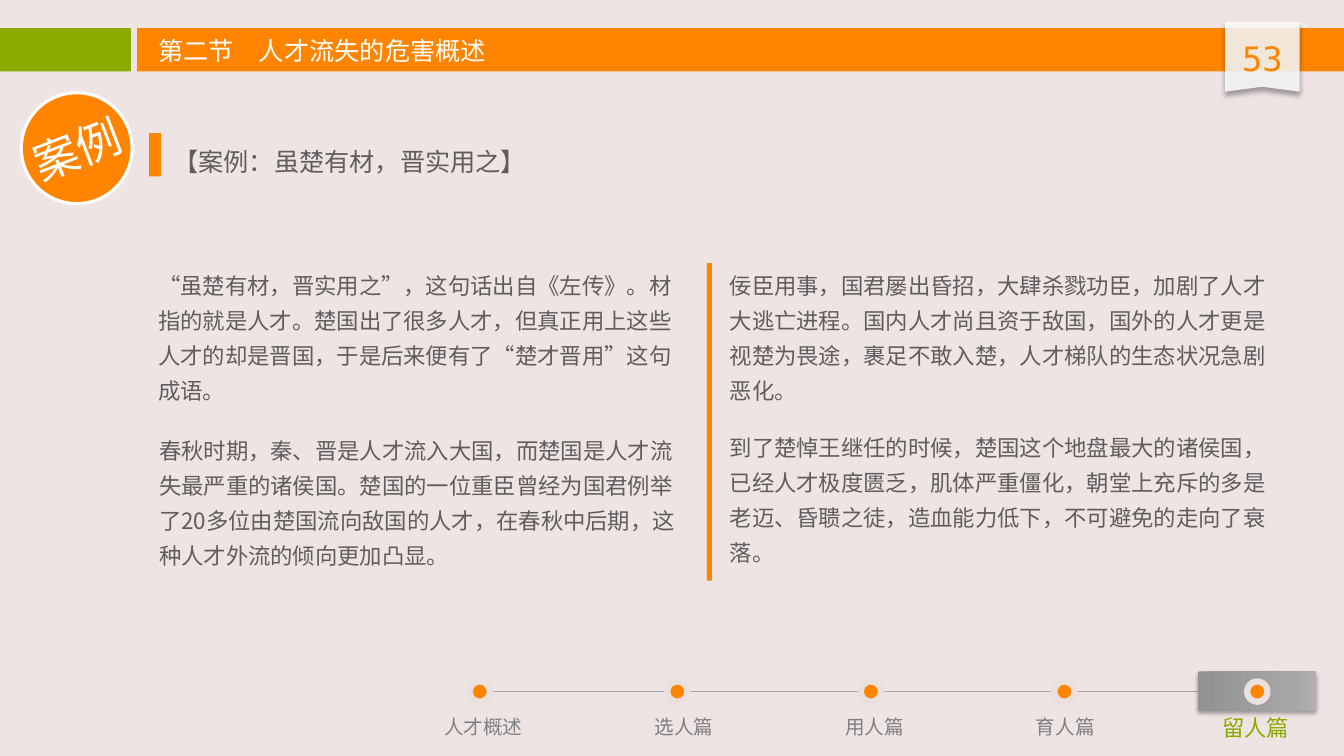
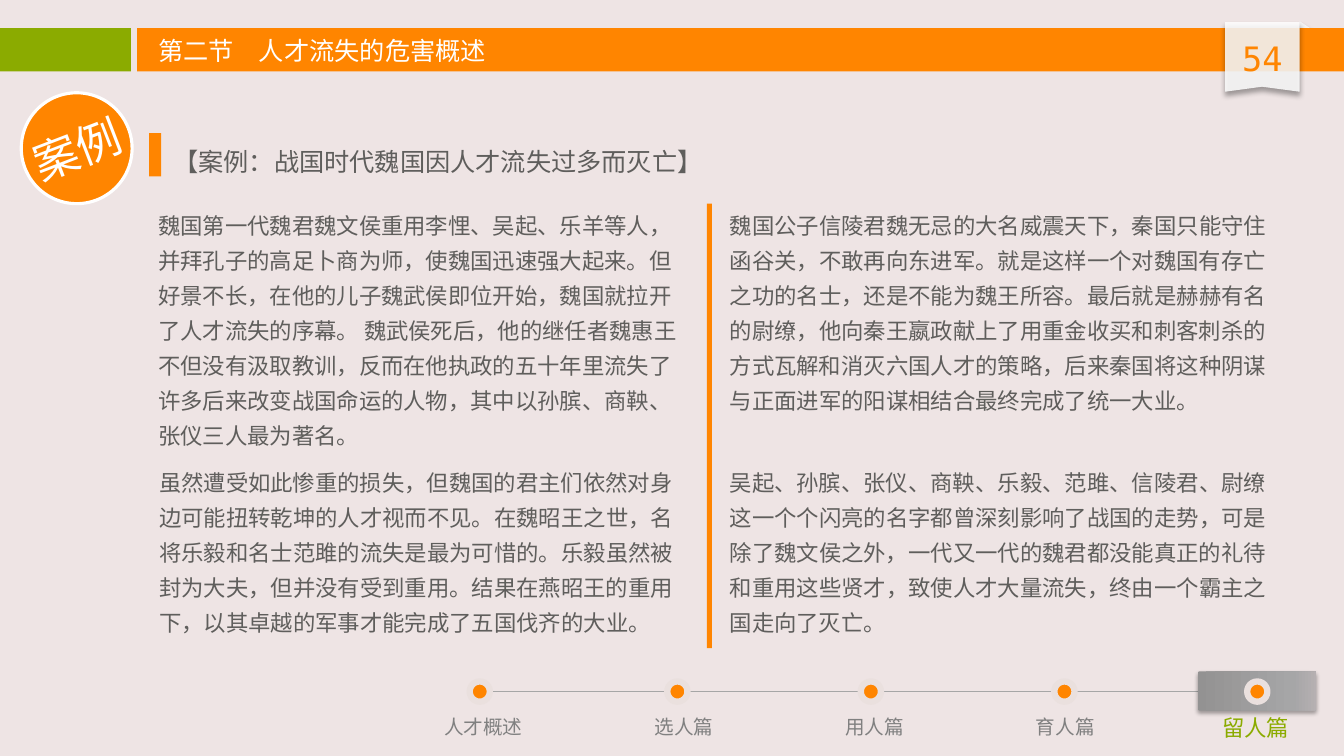
from dataclasses import dataclass

from lxml import etree
from pptx import Presentation
from pptx.dml.color import RGBColor
from pptx.enum.shapes import MSO_CONNECTOR, MSO_SHAPE
from pptx.enum.text import MSO_ANCHOR, MSO_AUTO_SIZE, PP_ALIGN
from pptx.oxml.ns import qn
from pptx.util import Emu, Inches, Pt

LEFT, CENTER = PP_ALIGN.LEFT, PP_ALIGN.CENTER
TOP, MIDDLE = MSO_ANCHOR.TOP, MSO_ANCHOR.MIDDLE
GROW = MSO_AUTO_SIZE.SHAPE_TO_FIT_TEXT
RECTANGLE, ROUNDED = MSO_SHAPE.RECTANGLE, MSO_SHAPE.ROUNDED_RECTANGLE
OVAL, TRIANGLE = MSO_SHAPE.OVAL, MSO_SHAPE.RIGHT_TRIANGLE
STRAIGHT = MSO_CONNECTOR.STRAIGHT

SLIDE_WIDTH, SLIDE_HEIGHT = Inches(13.33), Inches(7.5)


@dataclass(frozen=True)
class Theme:
    background: str = "EEE4E4"
    orange: str = "FF8500"
    green: str = "8BAB00"
    white: str = "FFFFFF"
    fold: str = "F8F8F8"
    body: str = "5F5E5C"
    label: str = "808080"
    track: str = "A6A6A6"
    ring: str = "EAE0DE"
    plate: tuple = ((0, "939292"), (80, "A6A6A7"), (100, "B6B0B2"))
    text_font: str = "Noto Sans CJK SC"
    number_font: str = "DejaVu Sans Mono"
    label_size: float = 14
    body_size: float = 16
    title_size: float = 18
    number_size: float = 24
    badge_size: float = 32
    body_spacing: float = 1.3


THEME = Theme()


@dataclass(frozen=True)
class Box:
    """Left and width in percent of slide width, top and height of slide height."""
    left: float
    top: float
    width: float
    height: float

    def emu(self) -> tuple:
        return (across(self.left), down(self.top),
                across(self.width), down(self.height))


@dataclass(frozen=True)
class Style:
    size: float
    color: str
    font: str = THEME.text_font
    align: PP_ALIGN = LEFT
    spacing: float = 1.0


@dataclass(frozen=True)
class Stage:
    name: str
    dot_center: float
    label_center: float
    current: bool = False


@dataclass(frozen=True)
class Shadow:
    opacity: float
    blur: float
    distance: float


@dataclass(frozen=True)
class Passage:
    box: Box
    text: str


@dataclass(frozen=True)
class Case:
    number: int
    heading: str
    divider: Box
    passages: tuple


TITLE = Style(THEME.title_size, THEME.white)
HEADING = Style(THEME.title_size, THEME.body, spacing=THEME.body_spacing)
BODY = Style(THEME.body_size, THEME.body, spacing=THEME.body_spacing)
NUMBER = Style(THEME.number_size, THEME.orange, THEME.number_font, CENTER)
BADGE = Style(THEME.badge_size, THEME.white, align=CENTER)
STAGE_LABEL = Style(THEME.label_size, THEME.label, align=CENTER)
CURRENT_LABEL = Style(THEME.body_size, THEME.green, align=CENTER)

RIBBON_SHADOW = Shadow(40, 4, 3)
PLATE_SHADOW = Shadow(35, 3.1, 1.8)

STAGES = (
    Stage("人才概述", 35.7, 35.97),
    Stage("选人篇", 50.4, 50.9),
    Stage("用人篇", 64.8, 65.08),
    Stage("育人篇", 79.2, 79.26),
    Stage("留人篇", 93.55, 93.44, True),
)
TRACK_TOP = 91.47

# Text columns: left edge and width
LEFT_UPPER, LEFT_LOWER, RIGHT = (11.03, 41.33), (11.1, 41.26), (53.56, 42.53)
DIVIDER_LEFT, DIVIDER_WIDTH = 52.59, 0.38


def passage(column: tuple, top: float, height: float, text: str) -> Passage:
    return Passage(Box(column[0], top, column[1], height), text)


CASES = (
    Case(53, "【案例：虽楚有材，晋实用之】",
         Box(DIVIDER_LEFT, 34.8, DIVIDER_WIDTH, 42), (
             passage(LEFT_UPPER, 34.27, 20, "“虽楚有材，晋实用之”，这句话出自《左传》。材指的就是人才。楚国出了很多人才，但真正用上这些人才的却是晋国，于是后来便有了“楚才晋用”这句成语。"),
             passage(LEFT_LOWER, 56.13, 20, "春秋时期，秦、晋是人才流入大国，而楚国是人才流失最严重的诸侯国。楚国的一位重臣曾经为国君例举了20多位由楚国流向敌国的人才，在春秋中后期，这种人才外流的倾向更加凸显。"),
             passage(RIGHT, 34.27, 20, "佞臣用事，国君屡出昏招，大肆杀戮功臣，加剧了人才大逃亡进程。国内人才尚且资于敌国，国外的人才更是视楚为畏途，裹足不敢入楚，人才梯队的生态状况急剧恶化。"),
             passage(RIGHT, 55.73, 20, "到了楚悼王继任的时候，楚国这个地盘最大的诸侯国，已经人才极度匮乏，肌体严重僵化，朝堂上充斥的多是老迈、昏聩之徒，造血能力低下，不可避免的走向了衰落。"),
         )),
    Case(54, "【案例：战国时代魏国因人才流失过多而灭亡】",
         Box(DIVIDER_LEFT, 26.93, DIVIDER_WIDTH, 58.8), (
             passage(LEFT_UPPER, 26.4, 34, "魏国第一代魏君魏文侯重用李悝、吴起、乐羊等人，并拜孔子的高足卜商为师，使魏国迅速强大起来。但好景不长，在他的儿子魏武侯即位开始，魏国就拉开了人才流失的序幕。 魏武侯死后，他的继任者魏惠王不但没有汲取教训，反而在他执政的五十年里流失了许多后来改变战国命运的人物，其中以孙膑、商鞅、张仪三人最为著名。"),
             passage(LEFT_LOWER, 60.4, 24.67, "虽然遭受如此惨重的损失，但魏国的君主们依然对身边可能扭转乾坤的人才视而不见。在魏昭王之世，名将乐毅和名士范雎的流失是最为可惜的。乐毅虽然被封为大夫，但并没有受到重用。结果在燕昭王的重用下，以其卓越的军事才能完成了五国伐齐的大业。"),
             passage(RIGHT, 26.4, 29.33, "魏国公子信陵君魏无忌的大名威震天下，秦国只能守住函谷关，不敢再向东进军。就是这样一个对魏国有存亡之功的名士，还是不能为魏王所容。最后就是赫赫有名的尉缭，他向秦王嬴政献上了用重金收买和刺客刺杀的方式瓦解和消灭六国人才的策略，后来秦国将这种阴谋与正面进军的阳谋相结合最终完成了统一大业。"),
             passage(RIGHT, 60.4, 24.67, "吴起、孙膑、张仪、商鞅、乐毅、范雎、信陵君、尉缭这一个个闪亮的名字都曾深刻影响了战国的走势，可是除了魏文侯之外，一代又一代的魏君都没能真正的礼待和重用这些贤才，致使人才大量流失，终由一个霸主之国走向了灭亡。"),
         )),
)


def across(percent: float) -> Emu:
    return Emu(round(SLIDE_WIDTH * percent / 100))


def down(percent: float) -> Emu:
    return Emu(round(SLIDE_HEIGHT * percent / 100))


def rgb(color: str) -> RGBColor:
    return RGBColor.from_string(color)


# Shape and text helpers
def paint(shape, color: str, outline: str = "", outline_width: float = 0) -> None:
    shape.shadow.inherit = False
    shape.fill.solid()
    shape.fill.fore_color.rgb = rgb(color)
    if outline:
        shape.line.color.rgb = rgb(outline)
        shape.line.width = Pt(outline_width)
    else:
        shape.line.fill.background()


def add_block(page, kind, box: Box, color: str, outline: str = "",
              outline_width: float = 0):
    shape = page.shapes.add_shape(kind, *box.emu())
    paint(shape, color, outline, outline_width)
    return shape


def set_opacity(shape, percent: float) -> None:
    color = shape.element.spPr.find(qn("a:solidFill")).find(qn("a:srgbClr"))
    etree.SubElement(color, qn("a:alpha"), val=str(percent * 1000))


def cast_shadow(shape, shadow: Shadow) -> None:
    effects = shape.element.spPr.find(qn("a:effectLst"))
    outer = etree.SubElement(
        effects, qn("a:outerShdw"), blurRad=str(Pt(shadow.blur)),
        dist=str(Pt(shadow.distance)), dir="5400000", algn="t", rotWithShape="0")
    color = etree.SubElement(outer, qn("a:srgbClr"), val="000000")
    etree.SubElement(color, qn("a:alpha"), val=str(shadow.opacity * 1000))


def set_gradient(shape, stops: tuple) -> None:
    shape.fill.gradient()
    shape.fill.gradient_angle = 0
    stop_list = shape.element.spPr.find(qn("a:gradFill")).find(qn("a:gsLst"))
    stop_list.clear()
    for position, color in stops:
        stop = etree.SubElement(stop_list, qn("a:gs"), pos=str(position * 1000))
        etree.SubElement(stop, qn("a:srgbClr"), val=color)


def write(frame, text: str, style: Style) -> None:
    para = frame.paragraphs[0]
    para.alignment = style.align
    para.line_spacing = style.spacing
    span = para.add_run()
    span.text = text
    span.font.size = Pt(style.size)
    span.font.color.rgb = rgb(style.color)
    span.font.name = style.font
    properties = span.font.language_id = None
    properties = span.element.get_or_add_rPr() if hasattr(span, "element") else span._r.get_or_add_rPr()
    properties.set("lang", "zh-CN")
    etree.SubElement(properties, qn("a:ea"), typeface=style.font)


def add_text(page, box: Box, text: str, style: Style) -> None:
    frame = page.shapes.add_textbox(*box.emu()).text_frame
    frame.word_wrap = True
    frame.auto_size = GROW
    frame.vertical_anchor = TOP
    write(frame, text, style)


# Parts of the page
def draw_header(page, number: int) -> None:
    fold = add_block(page, TRIANGLE, Box(96.7, 2.8, 0.9, 1.07), THEME.fold)
    set_opacity(fold, 85)
    cast_shadow(fold, RIBBON_SHADOW)
    add_block(page, RECTANGLE, Box(0, 3.73, 9.75, 5.73), THEME.green)
    add_block(page, RECTANGLE, Box(10.2, 3.73, 89.8, 5.73), THEME.orange)

    # Ribbon with a notched lower edge
    outline = ((91.15, 2.93), (96.7, 2.93), (96.7, 12.13),
               (93.9, 11.47), (91.15, 12.13))
    start, *corners = [(across(x), down(y)) for x, y in outline]
    builder = page.shapes.build_freeform(*start)
    builder.add_line_segments(corners, close=True)
    ribbon = builder.convert_to_shape()
    paint(ribbon, THEME.white)
    set_opacity(ribbon, 85)
    cast_shadow(ribbon, RIBBON_SHADOW)
    add_text(page, Box(91.15, 4.4, 5.55, 6.67), str(number), NUMBER)
    add_text(page, Box(11.03, 4, 37.8, 5.33), "第二节　人才流失的危害概述", TITLE)


def draw_progress(page) -> None:
    track = page.shapes.add_connector(
        STRAIGHT, across(36.16), down(TRACK_TOP), across(93.4), down(TRACK_TOP))
    track.line.color.rgb = rgb(THEME.track)
    track.line.width = Pt(1)
    etree.SubElement(track.element.spPr, qn("a:effectLst"))
    for stage in STAGES:
        if stage.current:
            plate = add_block(page, ROUNDED, Box(89.12, 88.8, 8.85, 5.2), THEME.track)
            plate.adjustments[0] = 0.05
            set_gradient(plate, THEME.plate)
            cast_shadow(plate, PLATE_SHADOW)
        dot = Box(stage.dot_center - 0.75, TRACK_TOP - 1.33, 1.5, 2.67)
        add_block(page, OVAL, dot, THEME.orange, THEME.ring, 4.5)
        add_text(page, Box(stage.label_center - 4, 93.87, 8, 4.53), stage.name,
                 CURRENT_LABEL if stage.current else STAGE_LABEL)


def draw_badge(page) -> None:
    badge = add_block(page, OVAL, Box(1.58, 12.27, 8.25, 14.67),
                      THEME.orange, THEME.white, 2.25)
    badge.rotation = 338.9
    frame = badge.text_frame
    frame.word_wrap = False
    frame.vertical_anchor = MIDDLE
    frame.margin_left = frame.margin_right = 0
    frame.margin_top = frame.margin_bottom = 0
    write(frame, "案例", BADGE)


def draw_case(page, case: Case) -> None:
    add_block(page, RECTANGLE, Box(11.1, 17.6, 0.9, 5.73), THEME.orange)
    add_text(page, Box(12.15, 17.47, 50, 6.53), case.heading, HEADING)
    for item in case.passages:
        add_text(page, item.box, item.text, BODY)
    add_block(page, RECTANGLE, case.divider, THEME.orange)


def main() -> None:
    deck = Presentation()
    deck.slide_width, deck.slide_height = SLIDE_WIDTH, SLIDE_HEIGHT
    blank = deck.slide_layouts[6]
    for case in CASES:
        page = deck.slides.add_slide(blank)
        page.background.fill.solid()
        page.background.fill.fore_color.rgb = rgb(THEME.background)
        draw_header(page, case.number)
        draw_progress(page)
        draw_badge(page)
        draw_case(page, case)
    deck.save("out.pptx")


if __name__ == "__main__":
    main()
